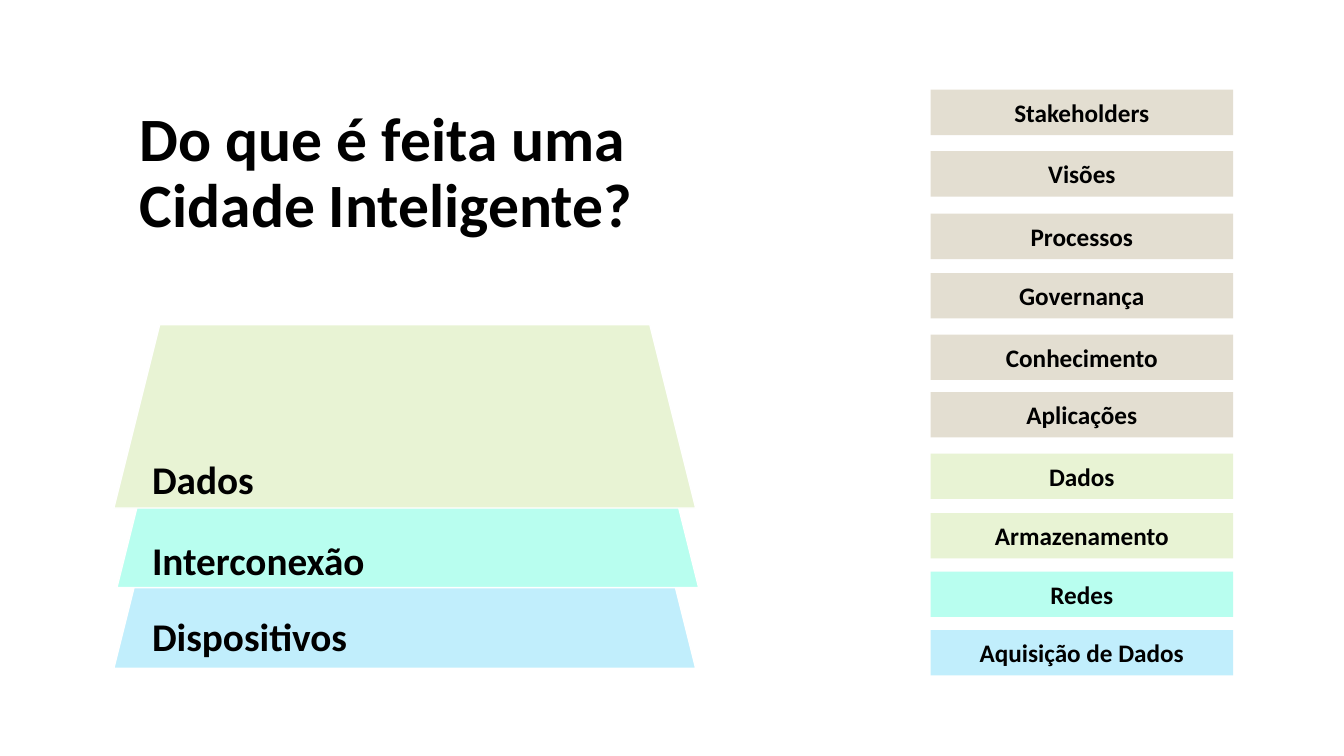
from pptx import Presentation
from pptx import util as u
from pptx.dml.color import RGBColor
from pptx.enum import shapes, text

PX = u.Inches(1) // 100
COLORS = {
    "ink": "000000",
    "edge": "FFFFFF",
    "people": "E3DED1",
    "data": "E8F3D4",
    "network": "B8FEEF",
    "device": "C1EEFC",
}
LAYERS = [
    ("Dispositivos", "device", 113, 481, 603, 279),
    ("Interconexão", "network", 116, 401, 527, 327),
    ("Dados", "data", 113, 322, 447, 279),
]
COMPONENTS = [
    ("Stakeholders", "people", 89),
    ("Visões", "people", 150),
    ("Processos", "people", 212),
    ("Governança", "people", 271),
    ("Conhecimento", "people", 332),
    ("Aplicações", "people", 389),
    ("Dados", "data", 450),
    ("Armazenamento", "data", 509),
    ("Redes", "network", 567),
    ("Aquisição de Dados", "device", 625),
]


def px(*lengths):
    """Convert pixel lengths to EMU."""
    return [u.Emu(length * PX) for length in lengths]


def rgb(name):
    """Look up a named colour."""
    return RGBColor.from_string(COLORS[name])


def apply(target, formats):
    """Set every format value on the target."""
    for key, value in formats.items():
        setattr(target, key, value)


def write(holder, words, size, frame_format, paragraph_format):
    """Fill a shape with one bold paragraph."""
    frame = holder.text_frame
    apply(frame, {"word_wrap": True, **frame_format})
    paragraph = frame.paragraphs[0]
    apply(paragraph, paragraph_format)
    run = paragraph.add_run()
    run.text = words
    apply(run.font, {"name": "Calibri", "size": u.Pt(size), "bold": True})
    run.font.color.rgb = rgb("ink")


def add_label(parent, words, box, size, frame_format, paragraph_format):
    """Add a text box holding bold text."""
    label = parent.add_textbox(*px(*box))
    write(label, words, size, frame_format, paragraph_format)


def add_block(parent, preset, box, fill):
    """Add a flat filled shape without an outline."""
    block = parent.add_shape(preset, *px(*box))
    block.shadow.inherit = False
    block.fill.solid()
    block.fill.fore_color.rgb = rgb(fill)
    block.line.fill.background()
    return block


def add_pyramid(parent):
    """Stack the trapezoid layers and put their labels on top."""
    for _, fill, left, top, _, _ in LAYERS:
        layer = add_block(parent, shapes.MSO_SHAPE.TRAPEZOID, (left, top, 577, 182), fill)
        layer.line.color.rgb = rgb("edge")
        layer.line.width = u.Pt(1)
    for words, _, _, _, label_top, width in LAYERS:
        add_label(parent, words, (141, label_top, width, 57), 28,
                  {"auto_size": text.MSO_AUTO_SIZE.SHAPE_TO_FIT_TEXT}, {})


def add_components(parent):
    """Add the column of component bars."""
    for words, fill, top in COMPONENTS:
        bar = add_block(parent, shapes.MSO_SHAPE.RECTANGLE, (923, top, 300, 45), fill)
        write(bar, words, 18, {"vertical_anchor": text.MSO_ANCHOR.MIDDLE},
              {"alignment": text.PP_ALIGN.CENTER})


def main():
    """Build the slide and save it."""
    deck = Presentation()
    deck.slide_width, deck.slide_height = px(1333, 750)
    slide = deck.slides.add_slide(deck.slide_layouts[6])
    add_label(slide.shapes, "Do que é feita uma Cidade Inteligente?", (129, 37, 544, 272), 44,
              {"vertical_anchor": text.MSO_ANCHOR.MIDDLE}, {"line_spacing": 0.9})
    add_pyramid(slide.shapes.add_group_shape().shapes)
    add_components(slide.shapes.add_group_shape().shapes)
    deck.save("out.pptx")


if __name__ == "__main__":
    main()
